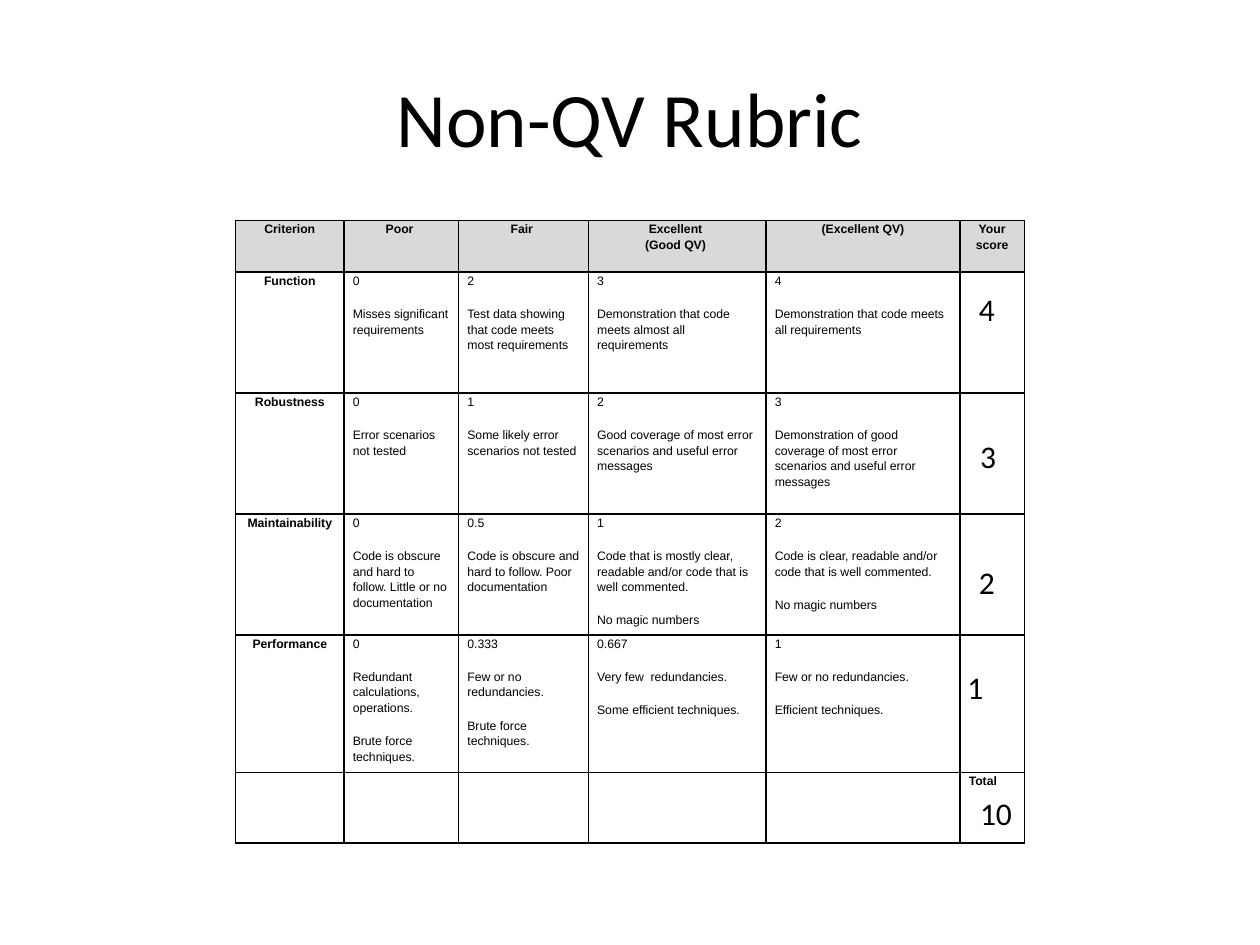
import pptx
import pptx.util
import pptx.dml.color
import pptx.enum.text
import pptx.oxml

Inches = pptx.util.Inches
Pt = pptx.util.Pt
ALIGN = pptx.enum.text.PP_ALIGN
ANCHOR = pptx.enum.text.MSO_ANCHOR
COLORS = {"ink": "000000", "head": "D9D9D9", "page": "FFFFFF"}
NS = "http://schemas.openxmlformats.org/drawingml/2006/main"


class Deck:
    """Holds the style and the current slide."""

    def __init__(self, slide):
        self.slide = slide

    def color(self, name):
        return pptx.dml.color.RGBColor.from_string(COLORS[name])

    def style(self, para, size, face, bold=False, align=ALIGN.LEFT):
        para.alignment = align
        para.font.size = Pt(size)
        para.font.name = face
        para.font.bold = bold
        para.font.color.rgb = self.color("ink")

    def text(self, words, box, size, align=ALIGN.LEFT, anchor=ANCHOR.TOP):
        frame = self.slide.shapes.add_textbox(*map(Inches, box)).text_frame
        frame.word_wrap = True
        frame.vertical_anchor = anchor
        frame.text = words
        self.style(frame.paragraphs[0], size, "Calibri", align=align)

    def border(self, cell):
        props = cell._tc.get_or_add_tcPr()
        for spot, side in enumerate("LRTB"):
            props.insert(spot, pptx.oxml.parse_xml(
                f'<a:ln{side} xmlns:a="{NS}" w="12700"><a:solidFill>'
                f'<a:srgbClr val="{COLORS["ink"]}"/></a:solidFill></a:ln{side}>'))

    def cell(self, cell, words, fill, bold, align):
        cell.margin_left = cell.margin_right = Inches(0.07)
        cell.margin_top = cell.margin_bottom = 0
        cell.fill.solid()
        cell.fill.fore_color.rgb = self.color(fill)
        self.border(cell)
        if not words:
            return
        cell.text = words
        for para in cell.text_frame.paragraphs:
            self.style(para, 7, "Arial", bold, align)
            para.line_spacing = 1.15
            para.space_after = Pt(10)

    def table(self, rows, left, top, wides, highs):
        shape = self.slide.shapes.add_table(
            len(highs), len(wides), Inches(left), Inches(top),
            Inches(sum(wides)), Inches(sum(highs)))
        grid = shape.table
        grid.first_row = grid.horz_banding = False
        for col, wide in zip(grid.columns, wides):
            col.width = Inches(wide)
        for row, high in zip(grid.rows, highs):
            row.height = Inches(high)
        for r, row in enumerate(rows):
            for c, words in enumerate(row):
                label = r == 0 or c == 0
                self.cell(grid.cell(r, c), words,
                          "page" if r else "head",
                          label or words == "Total",
                          ALIGN.CENTER if label else ALIGN.LEFT)


ROWS = [
    ["Criterion", "Poor ", "Fair ", "Excellent \v(Good QV) ",
     "(Excellent QV)", "Your score"],
    ["Function",
     "0\nMisses significant requirements",
     "2\nTest data showing that code meets most requirements",
     "3\nDemonstration that code meets almost all requirements",
     "4\nDemonstration that code meets all requirements", ""],
    ["Robustness",
     "0\nError scenarios not tested",
     "1\nSome likely error scenarios not tested",
     "2\nGood coverage of most error scenarios and useful error messages",
     "3\nDemonstration of good  coverage of most error scenarios "
     "and useful error messages", ""],
    ["Maintainability",
     "0\nCode is obscure and hard to follow. Little or no documentation",
     "0.5\nCode is obscure and hard to follow. Poor documentation",
     "1\nCode that is mostly clear, readable and/or code that is well "
     "commented.\nNo magic numbers",
     "2\nCode is clear, readable and/or code that is well commented."
     "\nNo magic numbers", ""],
    ["Performance",
     "0\nRedundant calculations, operations.\nBrute force techniques.",
     "0.333\nFew or no redundancies.\nBrute force techniques.",
     "0.667\nVery few  redundancies.\nSome efficient techniques.",
     "1\nFew or no redundancies.\nEfficient techniques.", ""],
    ["", "", "", "", "", "Total"],
]
SCORES = [("4", 7.67, 2.25), ("3", 7.68, 3.42), ("2", 7.67, 4.42),
          ("1", 7.58, 5.25), ("10", 7.68, 6.25)]

show = pptx.Presentation()
show.slide_width = Inches(10)
show.slide_height = Inches(7.5)
deck = Deck(show.slides.add_slide(show.slide_layouts[6]))
deck.text("Non-QV Rubric", (0.5, 0.3, 9, 1.25), 44, ALIGN.CENTER, ANCHOR.MIDDLE)
deck.table(ROWS, 1.87, 1.75, [0.86, 0.91, 1.03, 1.41, 1.54, 0.51],
           [0.41, 0.96, 0.96, 0.96, 1.09, 0.56])
for score, left, top in SCORES:
    deck.text(score, (left, top, 0.5, 0.4), 18)
show.save("out.pptx")
